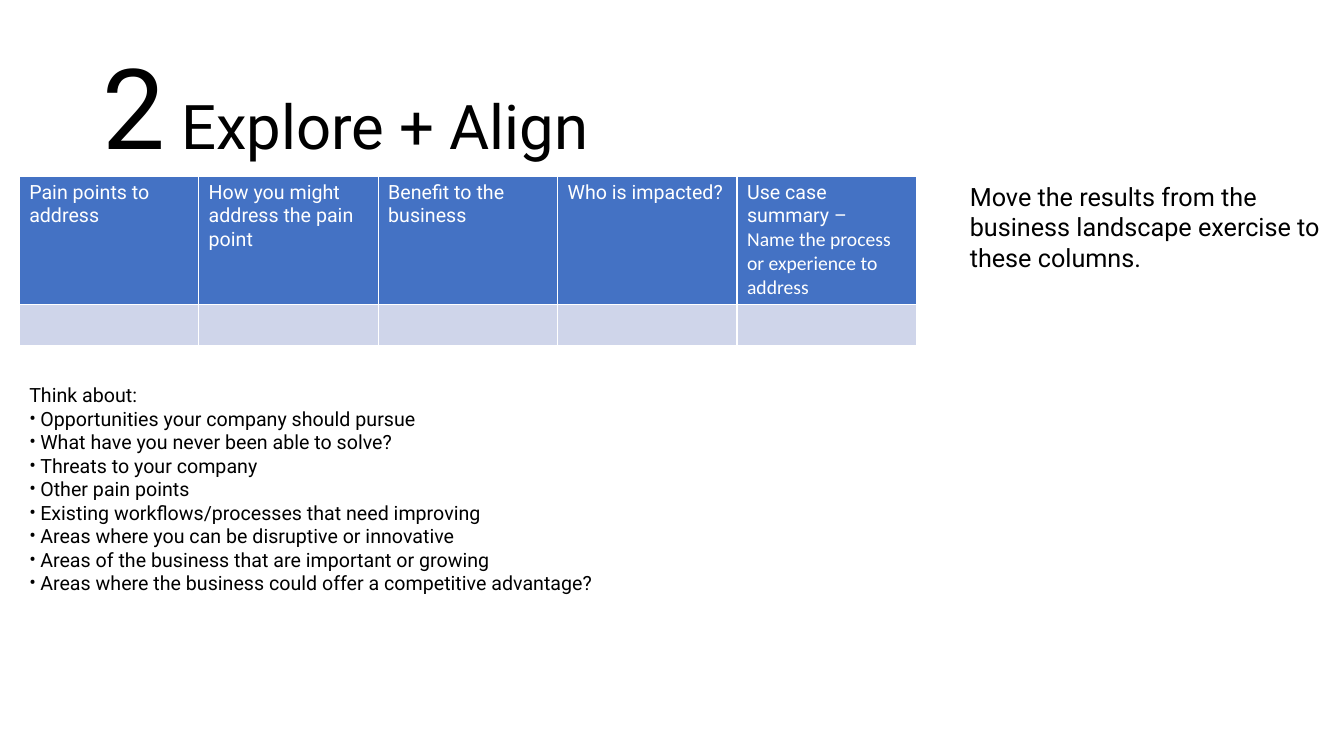
from lxml import etree
from pptx import Presentation
from pptx.dml.color import RGBColor
from pptx.enum.text import MSO_ANCHOR, MSO_AUTO_SIZE, PP_ALIGN
from pptx.oxml.ns import qn
from pptx.util import Inches, Pt

LEFT = PP_ALIGN.LEFT
TOP = MSO_ANCHOR.TOP
MIDDLE = MSO_ANCHOR.MIDDLE
NO_FIT = MSO_AUTO_SIZE.NONE

WIDTH, HEIGHT = 13.33, 7.5
MARGIN = 0.19
TABLE_TOP = 1.75
COLUMN_WIDTH = 1.78
HEADER_HEIGHT, ROW_HEIGHT = 1.27, 0.41
BULLET_INDENT = 0.11

FONT, SUMMARY_FONT = "Roboto", "Calibri"
BLACK, WHITE = "000000", "FFFFFF"
HEADER_BLUE, ROW_BLUE = "4472C4", "CFD5EA"

HEADERS = [
    ["Pain points to address"],
    ["How you might address the pain point"],
    ["Benefit to the business"],
    ["Who is impacted?"],
    ["Use case summary –", "Name the process or experience to address"],
]
PROMPTS = [
    "Opportunities your company should pursue",
    "What have you never been able to solve?",
    "Threats to your company",
    "Other pain points",
    "Existing workflows/processes that need improving",
    "Areas where you can be disruptive or innovative",
    "Areas of the business that are important or growing",
    "Areas where the business could offer a competitive advantage?",
]


def color(value):
    return RGBColor.from_string(value)


def apply_format(target, values):
    for name, value in values.items():
        setattr(target, name, value)


def place(shape, box):
    names = ("left", "top", "width", "height")
    apply_format(shape, dict(zip(names, map(Inches, box))))


def add_run(paragraph, text, size, font=FONT, fill=BLACK):
    run = paragraph.add_run()
    run.text = text
    apply_format(run.font, {"name": font, "size": Pt(size), "bold": False})
    run.font.color.rgb = color(fill)


def next_paragraph(text_frame, index):
    paragraph = text_frame.add_paragraph() if index else text_frame.paragraphs[0]
    apply_format(paragraph, {"alignment": LEFT, "space_before": Pt(0)})
    return paragraph


def set_bullet(paragraph, character):
    properties = paragraph._p.get_or_add_pPr()
    indent = Inches(BULLET_INDENT) if character else 0
    properties.set("marL", str(indent))
    properties.set("indent", str(-indent))
    if character:
        etree.SubElement(properties, qn("a:buFont"), typeface=FONT)
        etree.SubElement(properties, qn("a:buChar"), char=character)
    else:
        etree.SubElement(properties, qn("a:buNone"))


def fill_title(shape, box):
    place(shape, box)
    text_frame = shape.text_frame
    apply_format(text_frame, {"word_wrap": True, "auto_size": NO_FIT, "vertical_anchor": MIDDLE})
    paragraph = next_paragraph(text_frame, 0)
    paragraph.line_spacing = 0.9
    add_run(paragraph, "2", 80)
    add_run(paragraph, " Explore + Align", 44)


def fill_prompts(shape, box):
    place(shape, box)
    text_frame = shape.text_frame
    apply_format(text_frame, {"word_wrap": True, "auto_size": NO_FIT, "vertical_anchor": TOP})
    for index, text in enumerate(["Think about:"] + PROMPTS):
        paragraph = next_paragraph(text_frame, index)
        set_bullet(paragraph, "•" if index else None)
        add_run(paragraph, text, 14)


def add_instruction(slide, box):
    shape = slide.shapes.add_textbox(*map(Inches, box))
    shape.text_frame.word_wrap = True
    paragraph = next_paragraph(shape.text_frame, 0)
    add_run(paragraph, "Move the results from the business landscape exercise to these columns.", 18)


def add_pain_point_table(slide, box):
    table = slide.shapes.add_table(2, len(HEADERS), *map(Inches, box)).table
    for row, height in zip(table.rows, (HEADER_HEIGHT, ROW_HEIGHT)):
        row.height = Inches(height)
    for index, lines in enumerate(HEADERS):
        table.columns[index].width = Inches(box[2] / len(HEADERS))
        for row, fill in enumerate((HEADER_BLUE, ROW_BLUE)):
            cell = table.cell(row, index)
            cell.fill.solid()
            cell.fill.fore_color.rgb = color(fill)
        text_frame = table.cell(0, index).text_frame
        for position, text in enumerate(lines):
            font = SUMMARY_FONT if position else FONT
            add_run(next_paragraph(text_frame, position), text, 14, font, WHITE)


def build_explore_slide(presentation):
    slide = presentation.slides.add_slide(presentation.slide_layouts[1])
    table_width = COLUMN_WIDTH * len(HEADERS)
    fill_title(slide.shapes.title, (0.92, 0.4, 11.5, 1.45))
    fill_prompts(slide.placeholders[1], (MARGIN, HEIGHT / 2, 7.55, 2.46))
    add_instruction(slide, (9.52, TABLE_TOP, 3.72, 1.01))
    add_pain_point_table(slide, (MARGIN, TABLE_TOP, table_width, HEADER_HEIGHT + ROW_HEIGHT))


def main():
    presentation = Presentation()
    apply_format(presentation, {"slide_width": Inches(WIDTH), "slide_height": Inches(HEIGHT)})
    build_explore_slide(presentation)
    presentation.save("out.pptx")


if __name__ == "__main__":
    main()
